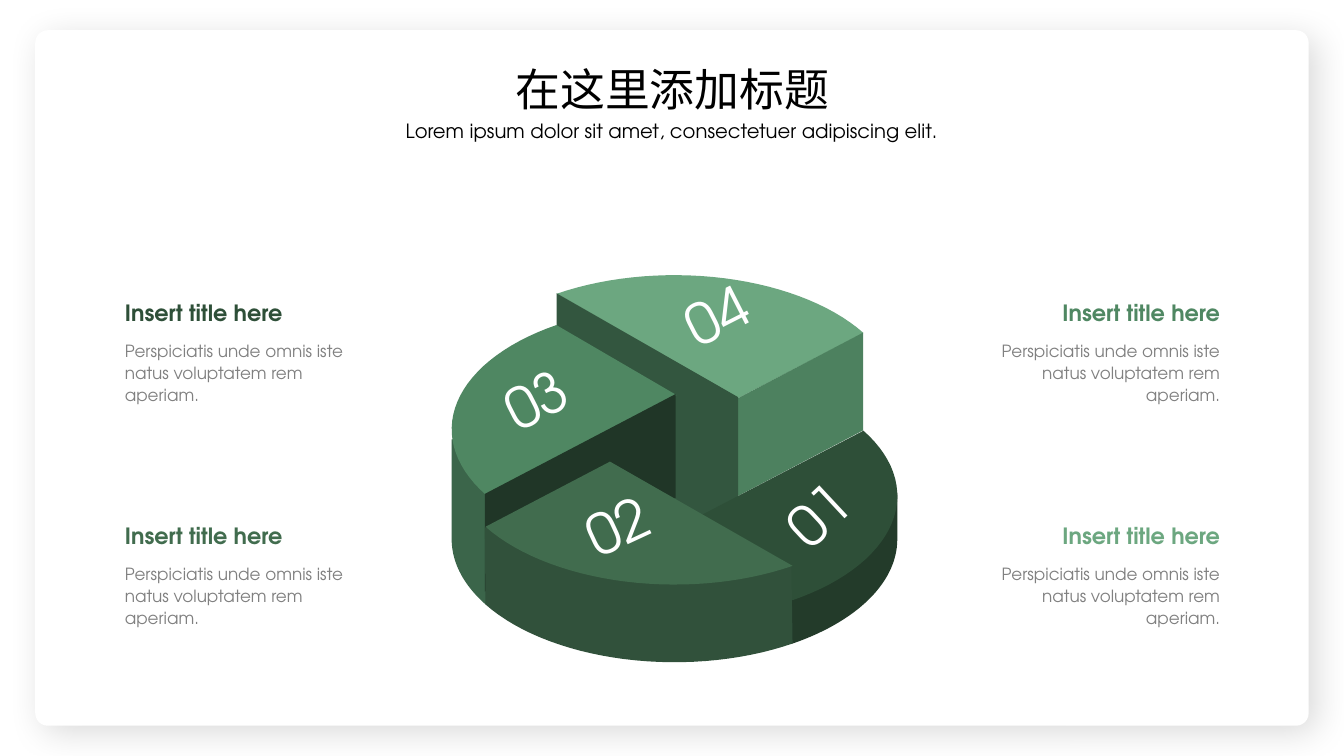
from dataclasses import dataclass
from math import cos, radians, sin

from lxml.etree import SubElement
from pptx import Presentation
from pptx.dml.color import RGBColor
from pptx.enum.shapes import MSO_SHAPE as Shape
from pptx.enum.text import MSO_ANCHOR as Anchor
from pptx.enum.text import MSO_AUTO_SIZE as Fit
from pptx.enum.text import PP_ALIGN as Align
from pptx.oxml.ns import qn
from pptx.util import Inches, Pt

LATIN, HAN = "TeX Gyre Adventor", "Noto Sans CJK SC"
MID_X, RAD_X, RAD_Y = 6.69, 2.21, 1.22  # rim of the pie
BASE = 5.35  # rim centre at the floor
EAST, SOUTH, WEST, NORTH = -32, 58, 148, 238  # the four cuts
BODY = "Perspiciatis unde omnis iste natus voluptatem rem aperiam."

Point = tuple[float, float]


@dataclass
class Face:
    """A flat side: its corners, then an arc of the rim if there is one."""
    color: str
    corners: list[Point]
    start: int = 0
    end: int = 0
    level: float = 0


@dataclass
class Label:
    text: str
    left: float
    top: float
    turn: int


@dataclass
class Note:
    color: str
    top: float
    right: bool


# Back to front
FACES = [
    Face("3B654A", [(4.48, 4.36), (4.96, 4.29), (5.52, 4.01), (5.8, 4.17),
                    (6.7, 4.04), (6.7, 5.01)], WEST, 180, BASE),
    Face("6CA780", [(7.32, 3.95)], NORTH, EAST + 360, 3.95),
    Face("4D815F", [(8.56, 3.3), (8.56, 4.27), (7.32, 4.92), (7.32, 3.95)]),
    Face("33563F", [(5.52, 2.91), (7.32, 3.94), (7.32, 5.37), (5.52, 4.33)]),
    Face("4F8762", [(6.71, 3.92)], WEST, NORTH, 4.26),
    Face("233B2A", [(6.67, 5.71), (8.56, 4.72), (8.56, 4.27), (8.9, 4.89)],
         0, SOUTH, BASE),
    Face("2E4F38", [(6.67, 5.26)], EAST, SOUTH, 4.92),
    Face("203627", [(6.7, 3.91), (6.7, 4.94), (4.81, 5.87), (4.81, 4.9)]),
    Face("31513B", [(4.81, 5.23), (5.31, 5.41), (6.05, 5.03), (7.13, 5.65),
                    (7.85, 5.62)], SOUTH, WEST, BASE),
    Face("416C4E", [(6.05, 4.58)], SOUTH, WEST, 4.58),
]
LABELS = [
    Label("01", 7.71, 4.71, -43),
    Label("02", 5.72, 4.83, -25),
    Label("03", 4.91, 3.57, -27),
    Label("04", 6.7, 2.74, -27),
]
NOTES = [
    Note("2E4F38", 2.92, False),
    Note("416C4E", 5.13, False),
    Note("4F8762", 2.92, True),
    Note("6CA780", 5.13, True),
]


def paint(target, color: str) -> None:
    """Fill a shape or a font with a hex colour."""
    target.fill.solid()
    target.fill.fore_color.rgb = RGBColor.from_string(color)


def place(shape, left: float, top: float, width: float, height: float) -> None:
    shape.left, shape.top = Inches(left), Inches(top)
    shape.width, shape.height = Inches(width), Inches(height)


def write(shape, text: str, size: float, color: str, align=Align.LEFT,
          bold: bool = False, wrap: bool = False, face: str = LATIN,
          space: float = 1.0) -> None:
    frame = shape.text_frame
    frame.word_wrap = wrap
    frame.auto_size = Fit.SHAPE_TO_FIT_TEXT
    frame.vertical_anchor = Anchor.TOP
    para = frame.paragraphs[0]
    para.alignment = align
    para.line_spacing = space
    run = para.add_run()
    run.text = text
    run.font.size, run.font.bold, run.font.name = Pt(size), bold, face
    paint(run.font, color)
    SubElement(run.font._element, qn("a:ea"), typeface=face)


def add_text(slide, left: float, top: float, width: float, height: float,
             *args, **style):
    box = slide.shapes.add_textbox(Inches(left), Inches(top),
                                   Inches(width), Inches(height))
    write(box, *args, **style)
    return box


def add_card(slide) -> None:
    card = slide.shapes.add_shape(Shape.ROUNDED_RECTANGLE, 0, 0, 0, 0)
    place(card, 0.35, 0.3, 12.63, 6.9)
    card.adjustments[0] = 0.018
    paint(card, "FFFFFF")
    card.line.fill.background()
    card.shadow.inherit = False
    effects = card.element.spPr.find(qn("a:effectLst"))
    shadow = SubElement(effects, qn("a:outerShdw"), blurRad=str(Pt(25)),
                        dist=str(Pt(8)), dir="2700000", algn="tl",
                        rotWithShape="0")
    black = SubElement(shadow, qn("a:srgbClr"), val="000000")
    SubElement(black, qn("a:alpha"), val="15000")
    slide.shapes.title.element.addprevious(card.element)


def rim(angle: float, level: float) -> Point:
    turn = radians(angle)
    return MID_X + RAD_X * cos(turn), level + RAD_Y * sin(turn)


def add_face(slide, face: Face) -> None:
    arc = [rim(face.start + (face.end - face.start) * i / 30, face.level)
           for i in range(31)] if face.level else []
    points = [(Inches(x), Inches(y)) for x, y in face.corners + arc]
    pen = slide.shapes.build_freeform(*points[0])
    pen.add_line_segments(points[1:], close=True)
    shape = pen.convert_to_shape()
    paint(shape, face.color)
    shape.line.fill.background()
    shape.shadow.inherit = False


def add_note(slide, note: Note) -> None:
    align = Align.RIGHT if note.right else Align.LEFT
    add_text(slide, 10.41 if note.right else 1.14, note.top, 1.79, 0.37,
             "Insert title here", 16, note.color, align, bold=True)
    add_text(slide, 9.5 if note.right else 1.14, note.top + 0.39, 2.7, 0.75,
             BODY, 12, "808080", align, wrap=True, space=1.1)


def main() -> None:
    deck = Presentation()
    deck.slide_width, deck.slide_height = Inches(13.33), Inches(7.5)
    slide = deck.slides.add_slide(deck.slide_layouts[5])

    # Card and heading
    add_card(slide)
    title = slide.shapes.title
    place(title, 5, 0.56, 3.34, 0.64)
    write(title, "在这里添加标题", 32, "000000", Align.CENTER, face=HAN)
    add_text(slide, 3.9, 1.13, 5.53, 0.34,
             "Lorem ipsum dolor sit amet, consectetuer adipiscing elit.",
             14, "000000", Align.CENTER)

    # Stepped pie
    for face in FACES:
        add_face(slide, face)
    for label in LABELS:
        box = add_text(slide, label.left, label.top, 0.82, 0.77,
                       label.text, 39.9, "FFFFFF")
        box.rotation = label.turn

    # Side notes
    for note in NOTES:
        add_note(slide, note)

    deck.save("out.pptx")


if __name__ == "__main__":
    main()
